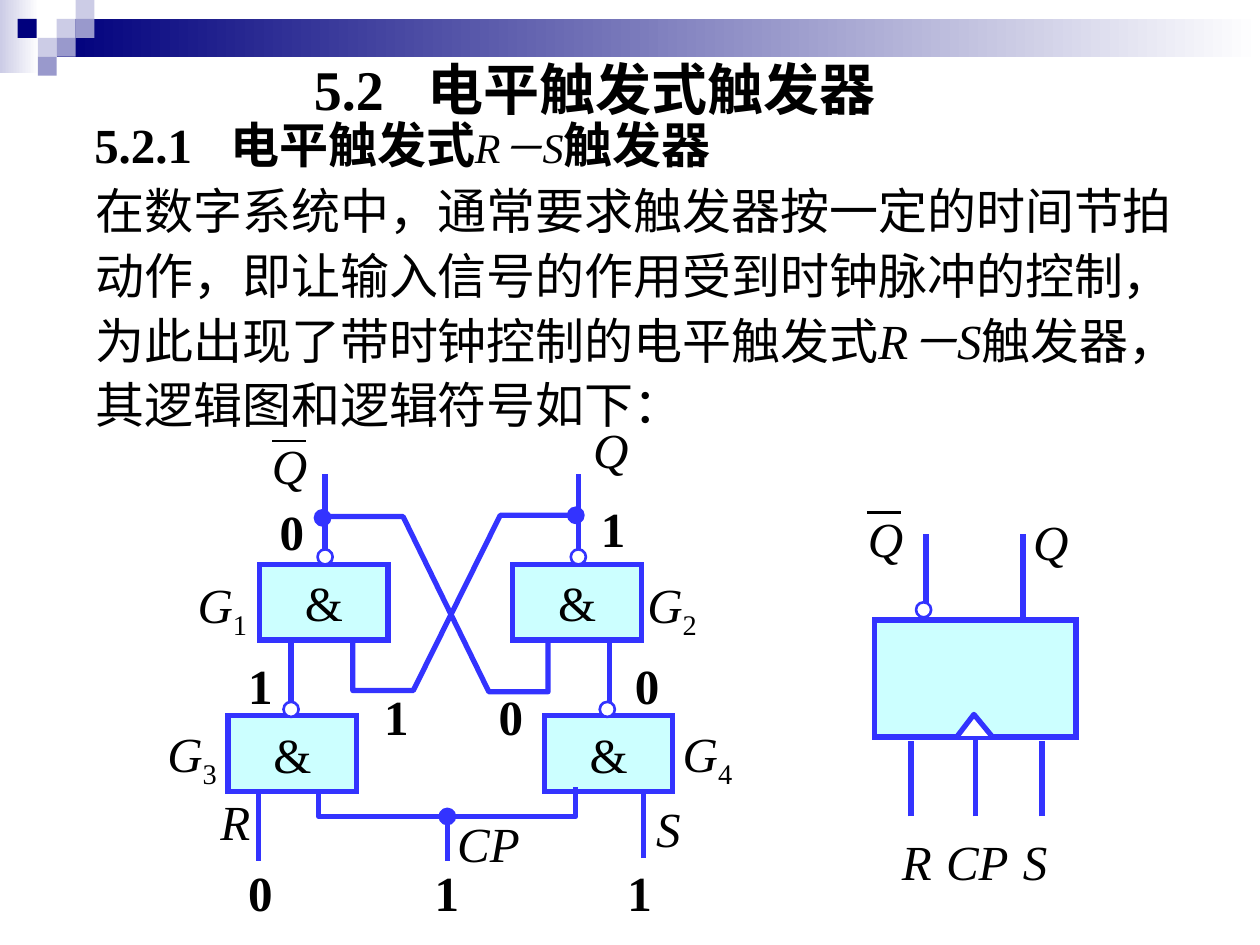
from lxml import etree
from pptx import Presentation
from pptx.dml.color import RGBColor
from pptx.enum.shapes import MSO_CONNECTOR, MSO_SHAPE
from pptx.enum.text import MSO_ANCHOR, MSO_AUTO_SIZE, PP_ALIGN
from pptx.oxml.ns import qn
from pptx.util import Pt

PX = 9144  # 100 px to the inch
RECTANGLE, OVAL = MSO_SHAPE.RECTANGLE, MSO_SHAPE.OVAL
STRAIGHT = MSO_CONNECTOR.STRAIGHT
TOP, MIDDLE = MSO_ANCHOR.TOP, MSO_ANCHOR.MIDDLE
LEFT, CENTER = PP_ALIGN.LEFT, PP_ALIGN.CENTER

BLACK = RGBColor(0x00, 0x00, 0x00)
WHITE = RGBColor(0xFF, 0xFF, 0xFF)
NAVY = RGBColor(0x00, 0x00, 0x7D)
LAVENDER = RGBColor(0xCC, 0xCC, 0xE6)
PERIWINKLE = RGBColor(0x99, 0x99, 0xCC)
WIRE = RGBColor(0x33, 0x33, 0xFF)
GATE_FILL = RGBColor(0xCC, 0xFF, 0xFF)


def write_text(shape, *runs, size=28, bold=False, italic=False, align=LEFT,
               anchor=TOP, wrap=False, line_spacing=None, tab=None):
    """Fill a shape with runs, each a (text, changes to the format) pair."""
    frame = shape.text_frame
    frame.word_wrap = wrap
    frame.auto_size = MSO_AUTO_SIZE.NONE
    frame.vertical_anchor = anchor
    paragraph = frame.paragraphs[0]
    if tab:
        tabs = etree.SubElement(paragraph._p.get_or_add_pPr(), qn("a:tabLst"))
        etree.SubElement(tabs, qn("a:tab"), pos=str(tab * PX), algn="l")
    paragraph.alignment = align
    if line_spacing:
        paragraph.line_spacing = line_spacing
    for text, changes in runs:
        run = paragraph.add_run()
        run.text = text
        font = run.font
        font.name = "Times New Roman"
        font.size = Pt(changes.get("size", size))
        font.bold = changes.get("bold", bold)
        font.italic = changes.get("italic", italic)
        font.color.rgb = BLACK
        if "baseline" in changes:
            run._r.get_or_add_rPr().set("baseline", changes["baseline"])


def add_shape(kind, left, top, width, height, fill, line_width=None):
    """Add a preset shape; without a line width it has no outline."""
    shape = slide.shapes.add_shape(kind, left * PX, top * PX, width * PX, height * PX)
    shape.shadow.inherit = False
    shape.fill.solid()
    shape.fill.fore_color.rgb = fill
    if line_width:
        shape.line.color.rgb = WIRE
        shape.line.width = Pt(line_width)
    else:
        shape.line.fill.background()
    return shape


presentation = Presentation()
presentation.slide_width = 1000 * PX
presentation.slide_height = 750 * PX
slide = presentation.slides.add_slide(presentation.slide_layouts[5])

# Header band and checker squares
for left, top, width, height, color in [(0, 0, 31, 58, LAVENDER), (45, 15, 955, 30, NAVY)]:
    band = add_shape(RECTANGLE, left, top, width, height, color)
    band.fill.gradient()
    band.fill.gradient_angle = 0
    for stop, stop_color in zip(band.fill.gradient_stops, (color, WHITE)):
        stop.color.rgb = stop_color
for left, top, color in [
    (45, 15, LAVENDER), (60, 0, LAVENDER), (60, 15, PERIWINKLE), (30, 30, LAVENDER),
    (14, 15, NAVY), (45, 30, PERIWINKLE), (30, 45, PERIWINKLE),
]:
    add_shape(RECTANGLE, left, top, 15, 15, color)

# Title, heading and body
title = slide.shapes.title
title.left, title.top, title.width, title.height = 239 * PX, 38 * PX, 605 * PX, 64 * PX
write_text(title, ("5.2\t电平触发式触发器", {}), size=32, bold=True, wrap=True, tab=90)

heading = slide.shapes.add_textbox(65 * PX, 86 * PX, 664 * PX, 57 * PX)
write_text(heading, ("5.2.1\t电平触发式", {}),
           ("R－S", {"size": 24, "bold": False, "italic": True}),
           ("触发器", {}), bold=True, wrap=True, tab=108)

body = slide.shapes.add_textbox(66 * PX, 134 * PX, 876 * PX, 216 * PX)
write_text(body,
           ("在数字系统中，通常要求触发器按一定的时间节拍动作，即让输入信号的作用"
            "受到时钟脉冲的控制，为此出现了带时钟控制的电平触发式", {}),
           ("R－S", {"italic": True}),
           ("触发器，其逻辑图和逻辑符号如下：", {}), wrap=True, line_spacing=1.1)

# Gates and the block of the logic symbol
for left, top, width, height, mark in [
    (206, 448, 102, 60, "&"), (407, 448, 102, 60, "&"),
    (181, 568, 102, 60, "&"), (432, 568, 102, 60, "&"), (694, 492, 160, 93, ""),
]:
    block = add_shape(RECTANGLE, left, top, width, height, GATE_FILL, 3)
    etree.SubElement(block.get_or_add_ln(), qn("a:miter"), lim="800000")
    if mark:
        write_text(block, (mark, {}), align=CENTER, anchor=MIDDLE)
symbol = block

# Straight wires, and the bars over the inverted outputs
for x1, y1, x2, y2, color, width in [
    (258, 436, 258, 376, WIRE, 3), (459, 436, 459, 376, WIRE, 3),
    (231, 566, 231, 506, WIRE, 3), (484, 566, 484, 506, WIRE, 3),
    (205, 683, 205, 627, WIRE, 3), (511, 681, 511, 627, WIRE, 3),
    (355, 683, 355, 648, WIRE, 3),
    (735, 484, 735, 424, WIRE, 3), (812, 492, 812, 424, WIRE, 3),
    (723, 648, 723, 588, WIRE, 3), (827, 648, 827, 588, WIRE, 3),
    (774, 648, 774, 585, WIRE, 3),
    (216, 350, 243, 350, BLACK, 1.5), (688, 407, 715, 407, BLACK, 1.5),
]:
    wire = slide.shapes.add_connector(STRAIGHT, x1 * PX, y1 * PX, x2 * PX, y2 * PX)
    wire.line.color.rgb = color
    wire.line.width = Pt(width)
    etree.SubElement(wire._element.spPr, qn("a:effectLst"))
    if (x2, y2) == (774, 585):
        wire.end_connect(symbol, 2)

# Bent wires and the clock wedge
for points, fill in [
    ([(280, 506), (280, 548), (328, 548), (397, 409), (461, 409)], None),
    ([(435, 507), (435, 549), (388, 549), (320, 410), (258, 410)], None),
    ([(253, 627), (253, 648), (457, 648), (457, 625)], None),
    ([(760, 584), (773, 567), (787, 584)], WHITE),
]:
    builder = slide.shapes.build_freeform(*points[0], scale=PX)
    builder.add_line_segments(points[1:], close=False)
    bent = builder.convert_to_shape()
    bent.shadow.inherit = False
    bent.line.color.rgb = WIRE
    bent.line.width = Pt(3)
    if fill:
        bent.fill.solid()
        bent.fill.fore_color.rgb = fill
    else:
        bent.fill.background()

# Inversion bubbles and junction dots
for left, top, fill in [
    (252, 436, WHITE), (453, 436, WHITE), (225, 557, WHITE), (476, 557, WHITE),
    (727, 478, WHITE), (250, 405, WIRE), (451, 403, WIRE), (349, 642, WIRE),
]:
    add_shape(OVAL, left, top, 12, 12, fill, 1.5)

# Signal names
for name, left, top, width in [
    ("Q", 206, 341, 48), ("Q", 461, 328, 48), ("R", 165, 623, 44), ("S", 511, 629, 39),
    ("CP", 353, 641, 69), ("Q", 679, 399, 48), ("Q", 810, 401, 48),
    ("R", 706, 655, 44), ("CP", 741, 655, 69), ("S", 802, 655, 39),
]:
    label = slide.shapes.add_textbox(left * PX, top * PX, width * PX, 57 * PX)
    write_text(label, (name, {}), italic=True)

# Gate names
for number, left, top in [("1", 147, 451), ("2", 504, 451), ("3", 123, 569), ("4", 532, 569)]:
    label = slide.shapes.add_textbox(left * PX, top * PX, 60 * PX, 63 * PX)
    write_text(label, ("G", {"italic": True}), (number, {"baseline": "-25000"}))

# Logic levels
for level, left, top in [
    ("0", 187, 680), ("1", 335, 680), ("1", 488, 680), ("1", 187, 515), ("0", 494, 515),
    ("0", 212, 393), ("1", 467, 391), ("1", 295, 540), ("0", 386, 540),
]:
    label = slide.shapes.add_textbox(left * PX, top * PX, 39 * PX, 57 * PX)
    write_text(label, (level, {}), bold=True)

presentation.save("out.pptx")
